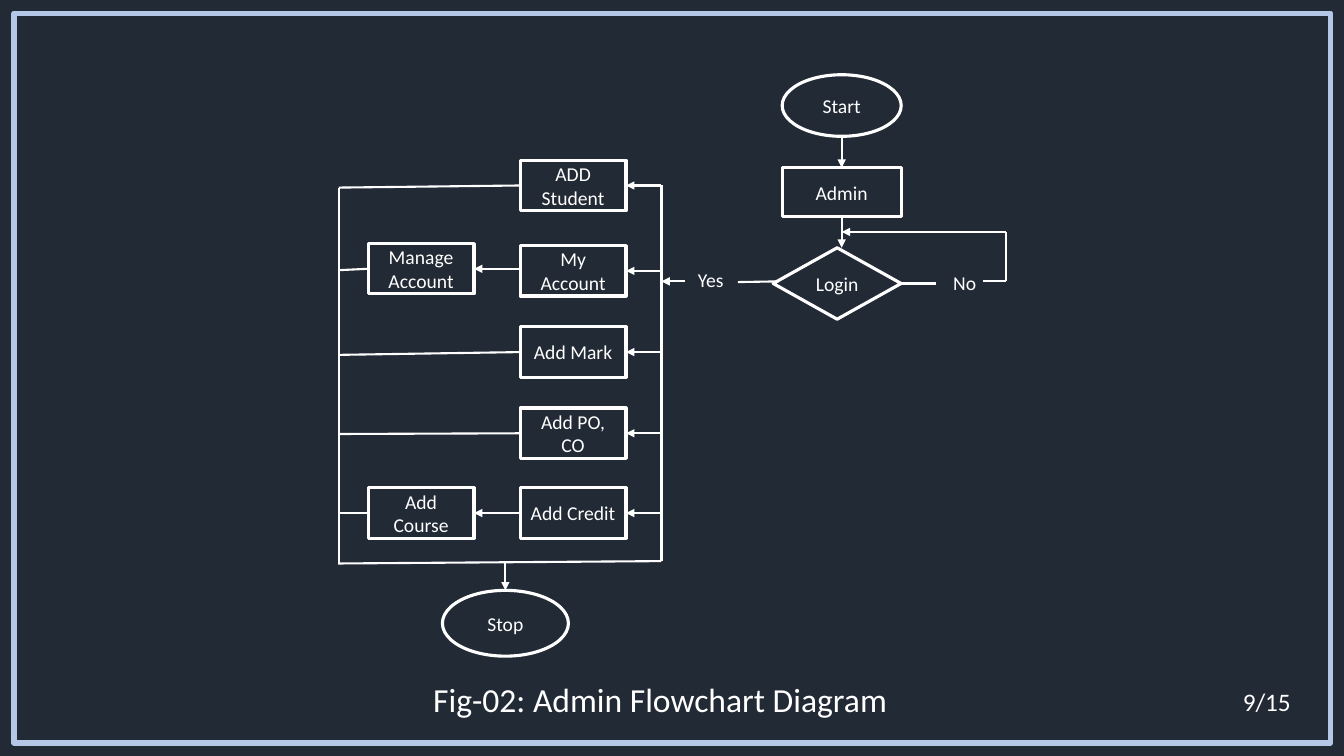
"""Build the admin flowchart slide."""
from lxml import etree
from pptx import Presentation
from pptx.dml.color import RGBColor
from pptx.enum import shapes as kinds, text as styles
from pptx.oxml.ns import qn
from pptx.util import Pt

NAVY = RGBColor(0x22, 0x2A, 0x35)
PALE_BLUE = RGBColor(0xB4, 0xC7, 0xE7)
WHITE = RGBColor(0xFF, 0xFF, 0xFF)
RECTANGLE = kinds.MSO_SHAPE.RECTANGLE
ELLIPSE = kinds.MSO_SHAPE.OVAL
DIAMOND = kinds.MSO_SHAPE.DIAMOND
TOP, LEFT, BOTTOM, RIGHT = range(4)

presentation = Presentation()
presentation.slide_width, presentation.slide_height = Pt(960), Pt(540)
slide = presentation.slides.add_slide(presentation.slide_layouts[6])
slide.background.fill.solid()
slide.background.fill.fore_color.rgb = NAVY


def add_outline(kind, box, color, weight):
    shape = slide.shapes.add_shape(kind, *map(Pt, box))
    shape.shadow.inherit = False
    shape.fill.background()
    shape.line.color.rgb = color
    shape.line.width = Pt(weight)
    return shape


def write(shape, words, size, frame_format, alignment):
    for name, value in frame_format.items():
        setattr(shape.text_frame, name, value)
    paragraph = shape.text_frame.paragraphs[0]
    paragraph.alignment = alignment
    run = paragraph.add_run()
    run.text = words
    for name, value in {"size": Pt(size), "name": "Calibri"}.items():
        setattr(run.font, name, value)
    run.font.color.rgb = WHITE


add_outline(RECTANGLE, (10.1, 9.4, 940.3, 521.3), PALE_BLUE, 3.75)

BOX_WIDTH, BOX_HEIGHT = 75.7, 36
MENU_X, SUBMENU_X = 371.5, 262.9
LEFT_RAIL, RIGHT_RAIL = 242, 472.5
menu_tops = {"ADD Student": 114.5, "My Account": 175.5, "Add Mark": 233.5,
             "Add PO, CO": 291.5, "Add Credit": 348.5}
submenu_tops = {"Manage Account": 174, "Add Course": 348.5}

nodes = [
    ("Start", ELLIPSE, (558.7, 53.4, 85, 44)),
    ("Admin", RECTANGLE, (558.7, 119.8, 85, 35)),
    ("Login", DIAMOND, (552.3, 177, 91.4, 51)),
    ("Stop", ELLIPSE, (316, 421.7, 90, 47)),
]
for left, tops in ((MENU_X, menu_tops), (SUBMENU_X, submenu_tops)):
    nodes += [(words, RECTANGLE, (left, top, BOX_WIDTH, BOX_HEIGHT))
              for words, top in tops.items()]

steps = {}
for words, kind, box in nodes:
    steps[words] = add_outline(kind, box, WHITE, 2.25)
    frame_format = {"word_wrap": kind != DIAMOND,
                    "vertical_anchor": styles.MSO_ANCHOR.MIDDLE}
    write(steps[words], words, 14, frame_format, styles.PP_ALIGN.CENTER)

lines = [
    ((601.2, 97.4), (601.2, 119.8), True, None, ("Admin", TOP)),
    ((601.2, 154.8), (601.2, 177), True, ("Admin", BOTTOM), None),
    ((643.7, 202.5), (668.7, 202.5), False, ("Login", RIGHT), None),
    ((718.5, 201), (702, 201), False, None, None),
    ((718.5, 201), (718.5, 165.7), False, None, None),
    ((718.5, 165.7), (601.2, 165.7), True, None, None),
    ((556.5, 201), (527, 201.5), False, None, None),
    ((489.6, 201), (RIGHT_RAIL, 201), True, None, None),
    ((RIGHT_RAIL, 400.8), (RIGHT_RAIL, 132.5), False, None, None),
    ((LEFT_RAIL, 402), (LEFT_RAIL, 134), False, None, None),
    ((RIGHT_RAIL, 400.8), (241.5, 402.5), False, None, None),
    ((361, 402), (361, 421.7), True, None, ("Stop", TOP)),
    ((MENU_X, 192), (SUBMENU_X + BOX_WIDTH, 192), True,
     None, ("Manage Account", RIGHT)),
    ((MENU_X, 366.5), (SUBMENU_X + BOX_WIDTH, 366.5), True,
     ("Add Credit", LEFT), ("Add Course", RIGHT)),
]
for words, top in menu_tops.items():
    middle = top + BOX_HEIGHT / 2
    lines.append(((RIGHT_RAIL, middle), (MENU_X + BOX_WIDTH, middle), True,
                  None, (words, RIGHT)))
for words, rail_y in (("ADD Student", 134), ("Manage Account", 193), ("Add Mark", 253.5),
                      ("Add PO, CO", 310), ("Add Course", 366.5)):
    lines.append(((MENU_X, rail_y), (LEFT_RAIL, rail_y), False, (words, LEFT), None))

for start, finish, has_arrow, source, target in lines:
    connector = slide.shapes.add_connector(
        kinds.MSO_CONNECTOR.STRAIGHT, *map(Pt, start + finish))
    if source:
        connector.begin_connect(steps[source[0]], source[1])
    if target:
        connector.end_connect(steps[target[0]], target[1])
    connector.line.color.rgb = WHITE
    connector.line.width = Pt(1.5)
    properties = connector._element.spPr
    if has_arrow:
        etree.SubElement(properties.find(qn("a:ln")), qn("a:tailEnd"), type="triangle")
    etree.SubElement(properties, qn("a:effectLst"))

for words, box, size, wraps in (
        ("Yes", (491.5, 187.5, 33.5, 24.2), 14, False),
        ("No", (673.8, 190, 31, 24.2), 14, False),
        ("Fig-02: Admin Flowchart Diagram", (302.4, 481.2, 341, 36.4), 24, False),
        ("9/15", (880.6, 486.7, 62, 29), 18, True)):
    label = slide.shapes.add_textbox(*map(Pt, box))
    write(label, words, size, {"word_wrap": wraps}, styles.PP_ALIGN.LEFT)

presentation.save("out.pptx")
